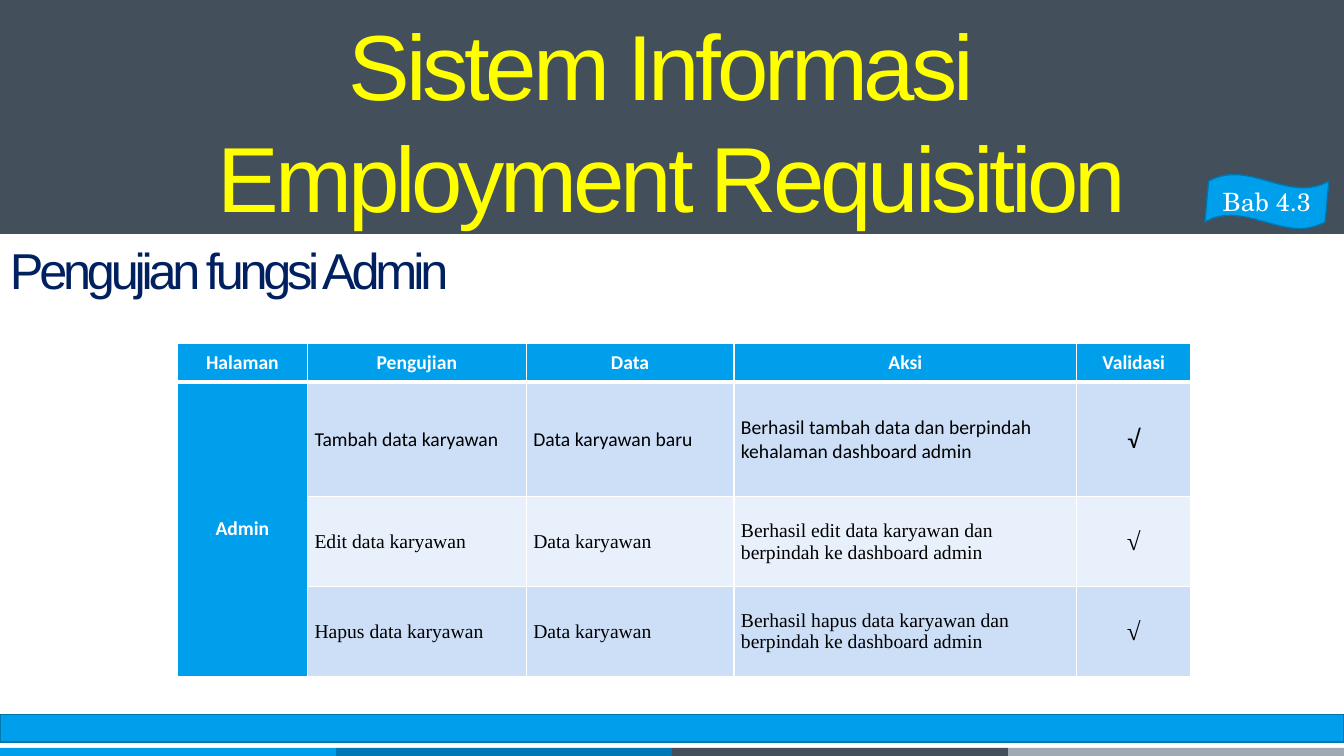
import pptx
import pptx.util
import pptx.dml.color
import pptx.enum.shapes
import pptx.enum.text
import lxml.etree
from pptx.util import Inches

HUES = {
    "sky": "009FEB", "blue": "0078B6", "edge": "0076AE", "slate": "434F5A",
    "gray": "9EA9B4", "gold": "FFFF00", "navy": "002060", "white": "FFFFFF",
    "black": "000000", "band": "CCDFF7", "pale": "E7F0FB",
}
NS = "http://schemas.openxmlformats.org/drawingml/2006/main"
SHAPE = pptx.enum.shapes.MSO_SHAPE
ALIGN = pptx.enum.text.PP_ALIGN
MID = pptx.enum.text.MSO_ANCHOR.MIDDLE
TOP = pptx.enum.text.MSO_ANCHOR.TOP
WIDE = 13.33


def tint(name):
    return pptx.dml.color.RGBColor.from_string(HUES[name])


def write(frame, text, size=14, face="Calibri", hue="black", bold=False,
          align=ALIGN.LEFT, anchor=TOP, wrap=True, track=None, pitch=None):
    frame.word_wrap = wrap
    frame.vertical_anchor = anchor
    for i, line in enumerate(text.split("\n")):
        para = frame.paragraphs[0] if i == 0 else frame.add_paragraph()
        para.alignment = align
        para.space_before = pptx.util.Pt(0)
        if pitch:
            para.line_spacing = pptx.util.Pt(pitch)
        run = para.add_run()
        run.text = line
        run.font.size = pptx.util.Pt(size)
        run.font.name = face
        run.font.bold = bold
        run.font.color.rgb = tint(hue)
        if track:
            run._r.get_or_add_rPr().set("spc", str(track * 100))


class Deck:
    def __init__(self):
        self.show = pptx.Presentation()
        self.show.slide_width = Inches(WIDE)
        self.show.slide_height = Inches(7.5)
        self.slide = self.show.slides.add_slide(self.show.slide_layouts[5])

    def title(self, box, text, fill, **style):
        head = self.slide.shapes.title
        head.left, head.top, head.width, head.height = map(Inches, box)
        head.fill.solid()
        head.fill.fore_color.rgb = tint(fill)
        frame = head.text_frame
        frame.auto_size = pptx.enum.text.MSO_AUTO_SIZE.NONE
        frame.margin_top = Inches(0.08)
        write(frame, text, **style)

    def shape(self, kind, box, fill, edge=None):
        item = self.slide.shapes.add_shape(kind, *map(Inches, box))
        item.shadow.inherit = False
        item.fill.solid()
        item.fill.fore_color.rgb = tint(fill)
        if edge:
            item.line.color.rgb = tint(edge)
            item.line.width = pptx.util.Pt(1)
        else:
            item.line.fill.background()
        return item

    def label(self, box, text, **style):
        item = self.slide.shapes.add_textbox(*map(Inches, box))
        write(item.text_frame, text, **style)

    def table(self, box, cols, rows):
        grid = self.slide.shapes.add_table(
            len(rows), len(cols), *map(Inches, box)).table
        for col, width in zip(grid.columns, cols):
            col.width = Inches(width)
        for row, height in zip(grid.rows, rows):
            row.height = Inches(height)
        return grid

    def cell(self, cell, text, fill, rims, **style):
        cell.margin_left = cell.margin_right = Inches(0.07)
        cell.margin_top = cell.margin_bottom = 0
        cell.vertical_anchor = MID
        cell.fill.solid()
        cell.fill.fore_color.rgb = tint(fill)
        props = cell._tc.get_or_add_tcPr()
        for i, (side, width) in enumerate(rims.items()):
            rim = lxml.etree.Element(f"{{{NS}}}ln{side}",
                                     w=str(pptx.util.Pt(width)))
            solid = lxml.etree.SubElement(rim, f"{{{NS}}}solidFill")
            lxml.etree.SubElement(solid, f"{{{NS}}}srgbClr", val=HUES["white"])
            props.insert(i, rim)
        if text:
            write(cell.text_frame, text, anchor=MID, **style)


def main():
    deck = Deck()
    deck.title((0, 0, WIDE, 2.32), "Sistem Informasi \nEmployment Requisition",
               "slate", size=66, face="Arial", hue="gold",
               align=ALIGN.CENTER, track=-3, pitch=79.5)
    part = WIDE / 4
    for i, hue in enumerate(["sky", "blue", "slate", "gray"]):
        deck.shape(SHAPE.RECTANGLE, (i * part, 7.42, part, 0.08), hue)
    deck.shape(SHAPE.RECTANGLE, (0, 7.09, WIDE, 0.27), "sky", "edge")

    flag = deck.shape(SHAPE.WAVE, (11.95, 1.73, 1.23, 0.54), "sky", "edge")
    flag.adjustments[0] = 0.125
    flag.adjustments[1] = -0.015
    write(flag.text_frame, "Bab 4.3", size=18, face="TeX Gyre Schola",
          hue="white", align=ALIGN.CENTER, anchor=MID)

    deck.label((0, 2.32, 4.55, 0.71), "Pengujian fungsi Admin", size=36,
               face="Arial", hue="navy", track=-3, wrap=False)

    tests = [
        ["Halaman", "Pengujian", "Data", "Aksi", "Validasi"],
        ["Admin", "Tambah data karyawan", "Data karyawan baru",
         "Berhasil tambah data dan berpindah kehalaman dashboard admin", "√"],
        ["", "Edit data karyawan", "Data karyawan",
         "Berhasil edit data karyawan dan berpindah ke dashboard admin", "√"],
        ["", "Hapus data karyawan", "Data karyawan",
         "Berhasil hapus data karyawan dan berpindah ke dashboard admin", "√"],
    ]
    grid = deck.table((1.76, 3.41, 10.05, 3.3), [1.29, 2.17, 2.06, 3.4, 1.13],
                      [0.38, 1.14, 0.89, 0.89])
    grid.cell(1, 0).merge(grid.cell(3, 0))
    for r, row in enumerate(tests):
        rims = {"L": 1, "R": 1, "T": 3 if r == 1 else 1, "B": 1 if r else 3}
        for c, text in enumerate(row):
            head = r == 0 or c == 0
            mark = c == 4 and not head
            deck.cell(
                grid.cell(r, c), text,
                "sky" if head else "band" if r % 2 else "pale", rims,
                size=18 if mark else 14,
                face="Times New Roman" if r > 1 else "Calibri",
                hue="white" if head else "black",
                bold=head or (mark and r > 1),
                align=ALIGN.CENTER if head or mark else ALIGN.LEFT)
    deck.show.save("out.pptx")


if __name__ == "__main__":
    main()
